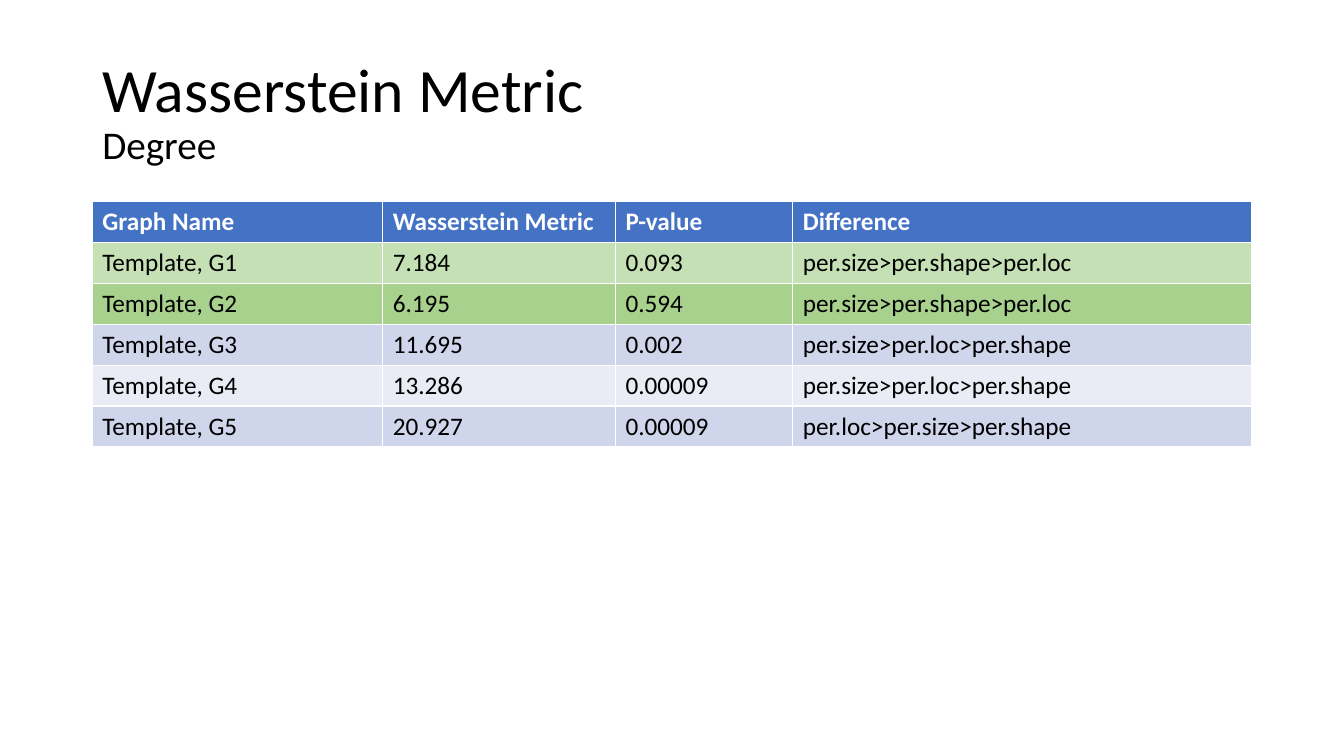
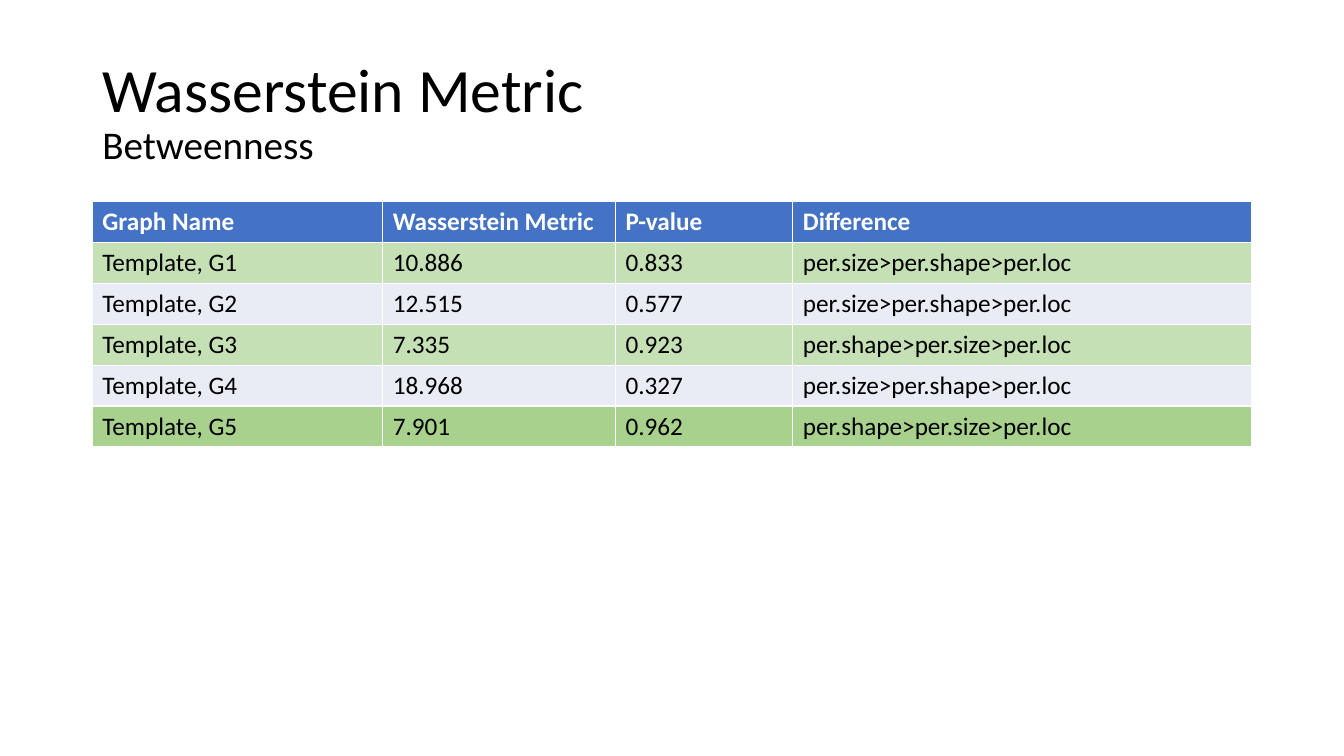
from pptx import Presentation
from pptx.dml import color
from pptx.enum import text
from pptx.util import Pt

FONT = "Calibri"
BLACK, WHITE, HEADER = "000000", "FFFFFF", "4472C4"
BANDS = ("CFD5EA", "E9EBF5")
GOOD, BEST = "C5E0B4", "A9D18E"

LEFT, WIDTH = 66, 828
ROW_HEIGHT = 29.2
COLUMN_WIDTHS = (207.4, 166.3, 126.7, 327.6)
HEADINGS = ("Graph Name", "Wasserstein Metric", "P-value", "Difference")

SIZE_SHAPE_LOC = "per.size>per.shape>per.loc"
SIZE_LOC_SHAPE = "per.size>per.loc>per.shape"
SHAPE_SIZE_LOC = "per.shape>per.size>per.loc"
LOC_SIZE_SHAPE = "per.loc>per.size>per.shape"

DEGREE = (
    ("7.184", "0.093", SIZE_SHAPE_LOC),
    ("6.195", "0.594", SIZE_SHAPE_LOC),
    ("11.695", "0.002", SIZE_LOC_SHAPE),
    ("13.286", "0.00009", SIZE_LOC_SHAPE),
    ("20.927", "0.00009", LOC_SIZE_SHAPE),
)
BETWEENNESS = (
    ("10.886", "0.833", SIZE_SHAPE_LOC),
    ("12.515", "0.577", SIZE_SHAPE_LOC),
    ("7.335", "0.923", SHAPE_SIZE_LOC),
    ("18.968", "0.327", SIZE_SHAPE_LOC),
    ("7.901", "0.962", SHAPE_SIZE_LOC),
)


def rgb(value):
    return color.RGBColor.from_string(value)


def add_title(slide, subtitle):
    box = slide.shapes.add_textbox(Pt(LEFT), Pt(28.8), Pt(WIDTH), Pt(104.4))
    frame = box.text_frame
    frame.word_wrap = True
    frame.vertical_anchor = text.MSO_ANCHOR.MIDDLE
    paragraph = frame.paragraphs[0]
    paragraph.line_spacing = 0.9
    paragraph.font.name = FONT
    paragraph.font.color.rgb = rgb(BLACK)
    title_run = paragraph.add_run()
    title_run.text = "Wasserstein Metric"
    title_run.font.size = Pt(44)
    paragraph.add_line_break()
    subtitle_run = paragraph.add_run()
    subtitle_run.text = subtitle
    subtitle_run.font.size = Pt(28)


def fill_row(table, row, values, fill, font_color, bold=False):
    for column, value in enumerate(values):
        cell = table.cell(row, column)
        cell.fill.solid()
        cell.fill.fore_color.rgb = rgb(fill)
        cell.text = value
        font = cell.text_frame.paragraphs[0].font
        font.name = FONT
        font.size = Pt(18)
        font.bold = bold
        font.color.rgb = rgb(font_color)


def add_results(slide, results, highlights):
    row_count = len(results) + 1
    table = slide.shapes.add_table(
        row_count, len(HEADINGS), Pt(LEFT), Pt(144), Pt(WIDTH), Pt(ROW_HEIGHT * row_count)
    ).table
    for column, width in zip(table.columns, COLUMN_WIDTHS):
        column.width = Pt(width)
    fill_row(table, 0, HEADINGS, HEADER, WHITE, bold=True)
    for graph, result in enumerate(results, start=1):
        band = BANDS[(graph - 1) % 2]
        values = (f"Template, G{graph}", *result)
        fill_row(table, graph, values, highlights.get(graph, band), BLACK)


def main():
    presentation = Presentation()
    presentation.slide_width = Pt(960)
    presentation.slide_height = Pt(540)
    for subtitle, results, highlights in (
        ("Degree", DEGREE, {1: GOOD, 2: BEST}),
        ("Betweenness", BETWEENNESS, {1: GOOD, 3: GOOD, 5: BEST}),
    ):
        slide = presentation.slides.add_slide(presentation.slide_layouts[6])
        add_title(slide, subtitle)
        add_results(slide, results, highlights)
    presentation.save("out.pptx")


main()
